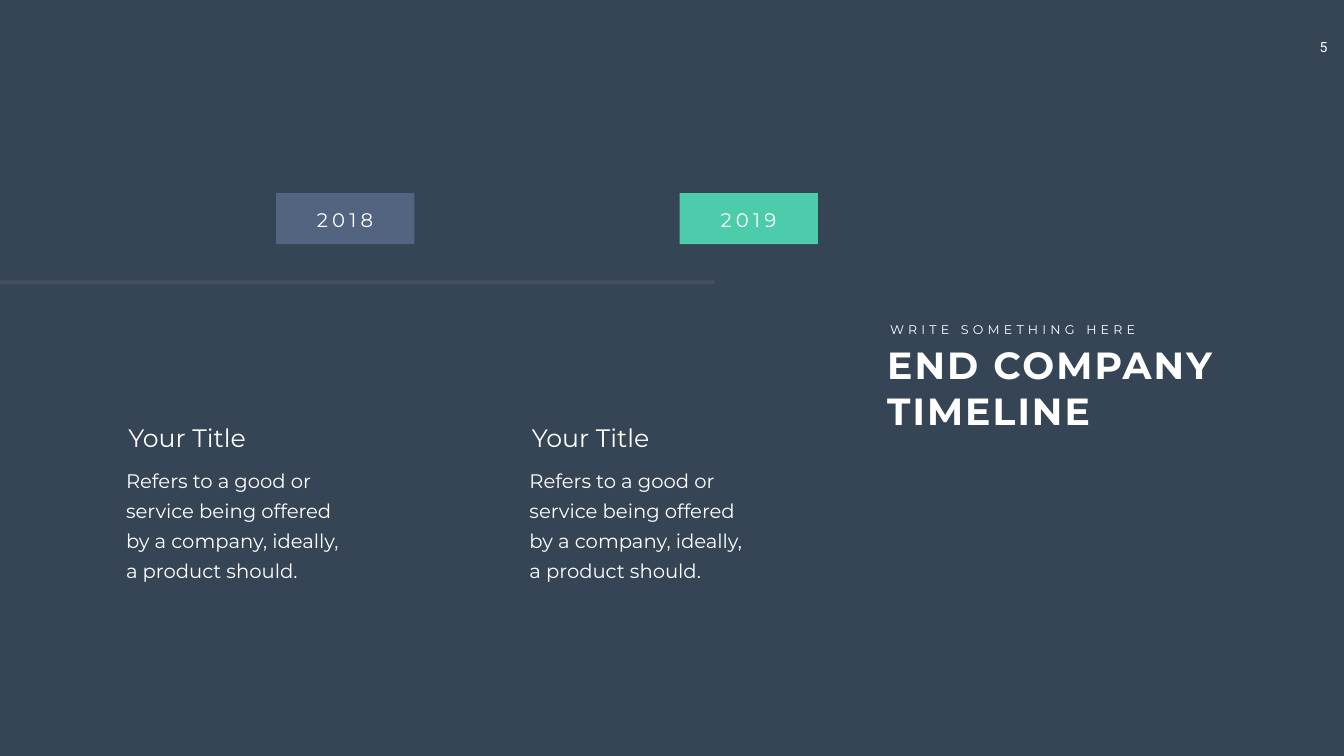
import pptx
import pptx.dml.color
import pptx.enum.shapes
import pptx.enum.text
import pptx.oxml.ns
import pptx.util
from dataclasses import dataclass
from lxml import etree
from pptx.util import Cm


@dataclass(frozen=True)
class Theme:
    background: str = "364556"
    text: str = "FFFFFF"
    line: str = "808080"
    past_year: str = "52647F"
    final_year: str = "4CCCAB"
    font: str = "Montserrat"
    number_font: str = "Roboto"
    heading: int = 54
    title: int = 36
    body: int = 28
    tagline: int = 18
    number: int = 20


theme = Theme()
rgb = pptx.dml.color.RGBColor.from_string
centre = pptx.enum.text.PP_ALIGN.CENTER


def add_text(left, top, width, height, text, size, font=theme.font, bold=False,
             align=None, spacing=0, wrap=True):
    """Add a one-paragraph text box; spacing is the letter spacing in points."""
    frame = slide.shapes.add_textbox(Cm(left), Cm(top), Cm(width), Cm(height)).text_frame
    frame.word_wrap = wrap
    frame.text = text
    frame.paragraphs[0].alignment = align
    run = frame.paragraphs[0].runs[0]
    run.font.name = font
    run.font.size = pptx.util.Pt(size)
    run.font.bold = bold
    run.font.color.rgb = rgb(theme.text)
    if spacing:
        run.font._element.set("spc", str(spacing * 100))
    return frame


presentation = pptx.Presentation()
presentation.slide_width = Cm(67.72)
presentation.slide_height = Cm(38.1)
slide = presentation.slides.add_slide(presentation.slide_layouts[6])
slide.background.fill.solid()
slide.background.fill.fore_color.rgb = rgb(theme.background)

# Page number
page_number = add_text(65.74, 1.7, 2.31, 1.37, "5", theme.number,
                       font=theme.number_font, align=centre, wrap=False)
page_number.margin_left = Cm(0.5)
page_number.margin_right = Cm(0.92)
page_number.margin_top = page_number.margin_bottom = Cm(0.25)

# Timeline, mostly transparent
timeline = slide.shapes.add_connector(
    pptx.enum.shapes.MSO_CONNECTOR.STRAIGHT, Cm(-0.08), Cm(14.22), Cm(35.99), Cm(14.22))
timeline.line.width = pptx.util.Pt(5)
timeline.line.color.rgb = rgb(theme.line)
qn = pptx.oxml.ns.qn
line_color = timeline._element.spPr.find(".//" + qn("a:srgbClr"))
etree.SubElement(line_color, qn("a:alpha")).set("val", "20000")
etree.SubElement(timeline._element.spPr, qn("a:effectLst"))

# Milestones: year badge above the line, title and description below
milestones = [("2018", theme.past_year), ("2019", theme.final_year)]
column_pitch = 20.33
for column, (year, badge_color) in enumerate(milestones):
    shift = column * column_pitch
    description = add_text(
        5.74 + shift, 22.99, 12.22, 6.6,
        "Refers to a good or service being offered by a company, ideally, a product should.",
        theme.body)
    description.margin_left = description.margin_right = Cm(0.61)
    description.margin_top = description.margin_bottom = Cm(0.3)
    description.paragraphs[0].line_spacing = pptx.util.Pt(43)

    add_text(6.22 + shift, 21.18, 12.22, 1.8, "Your Title", theme.title)

    badge = slide.shapes.add_shape(
        pptx.enum.shapes.MSO_SHAPE.RECTANGLE,
        Cm(13.92 + shift), Cm(9.73), Cm(6.96), Cm(2.57))
    badge.shadow.inherit = False
    badge.fill.solid()
    badge.fill.fore_color.rgb = rgb(badge_color)
    badge.line.fill.background()
    add_text(14.73 + shift, 10.36, 5.31, 1.45, year, theme.body, align=centre, spacing=6)

# Heading with its tagline
add_text(44.45, 17.12, 18.87, 4.88, "END COMPANY TIMELINE", theme.heading,
         bold=True, spacing=3)
add_text(44.6, 16.08, 13.16, 1.02, "WRITE SOMETHING HERE", theme.tagline,
         spacing=6, wrap=False)

presentation.save("out.pptx")
